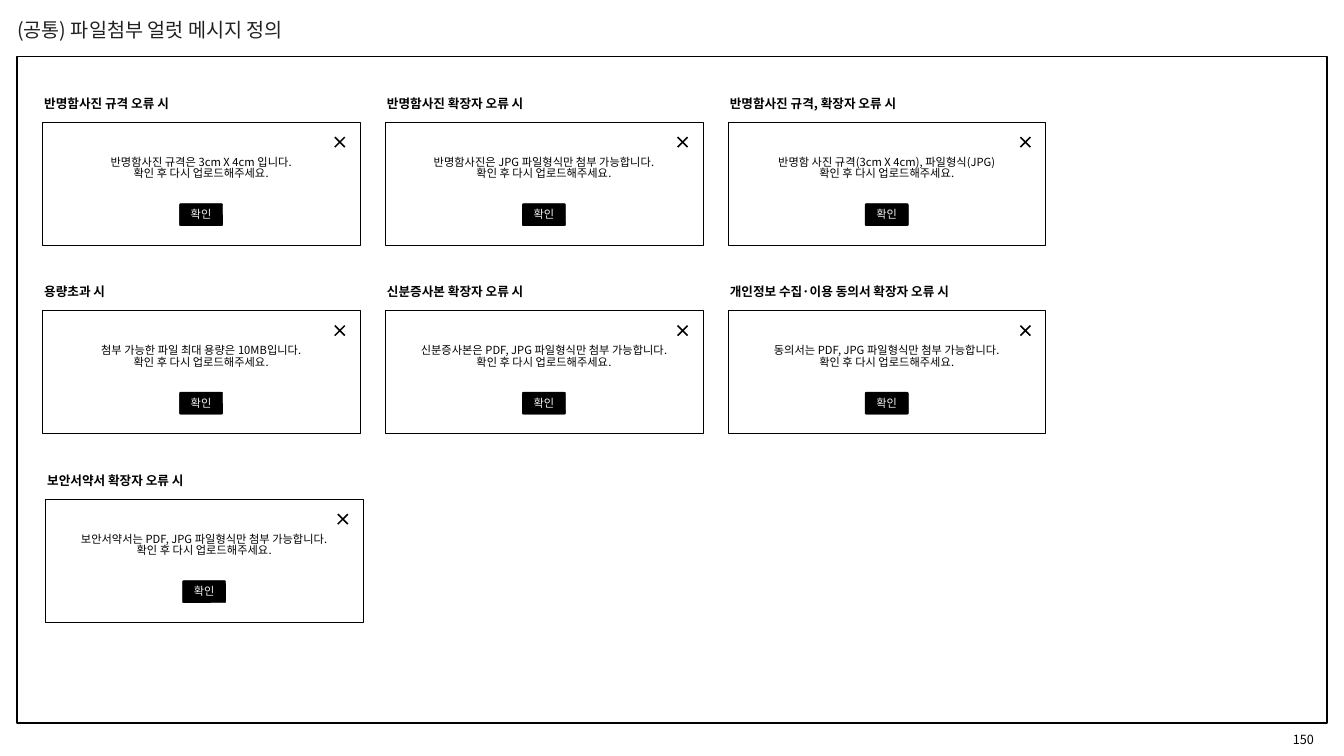
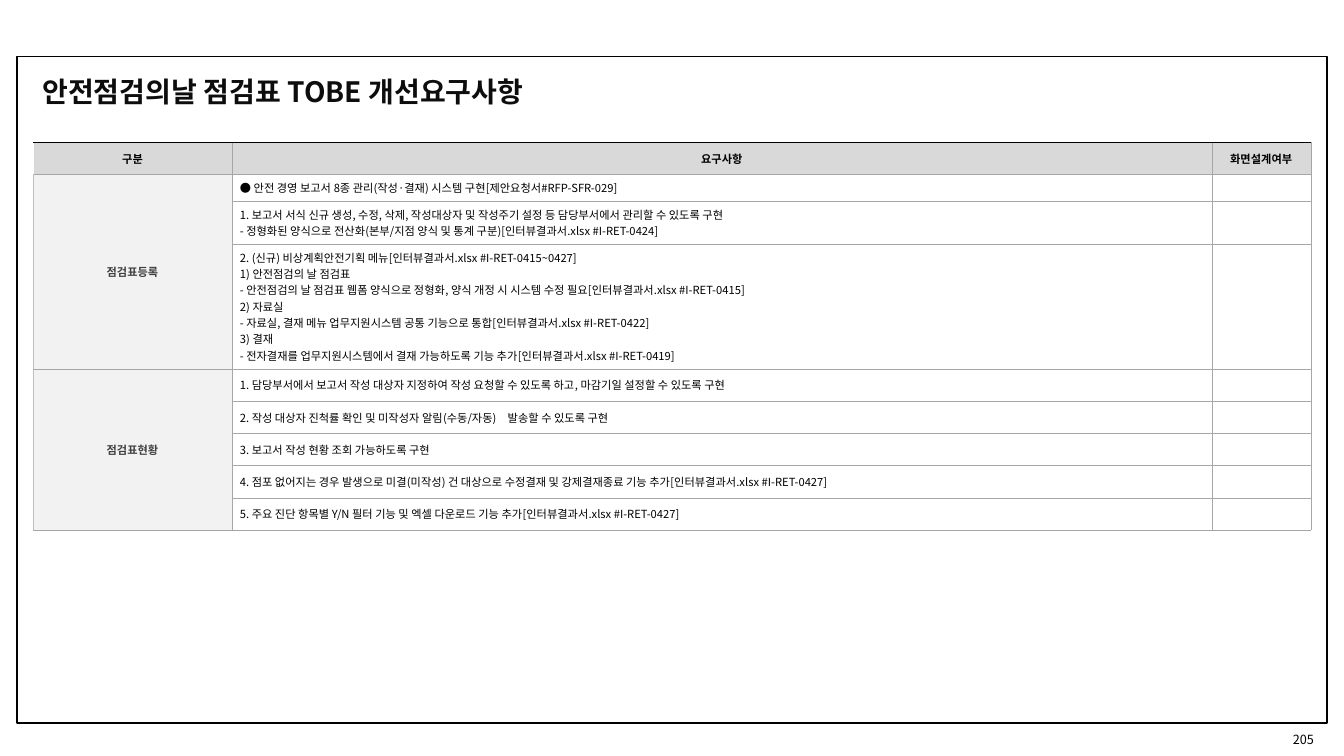
from lxml import etree
from pptx import Presentation
from pptx.dml.color import RGBColor as Rgb
from pptx.enum.shapes import MSO_CONNECTOR as Conn, MSO_SHAPE as Kind
from pptx.enum.text import MSO_ANCHOR as Anchor, MSO_AUTO_SIZE as Auto, PP_ALIGN as Align
from pptx.oxml.ns import qn
from pptx.util import Inches as In, Pt

FONT = "Noto Sans CJK KR"
INK = {"black": "000000", "title": "202124", "head": "0D0D0D", "side": "404040",
       "pale": "F2F2F2", "gray": "D9D9D9", "rule": "A6A6A6", "edge": "BFBFBF"}


def put(frame, text, size, ink="black", bold=False, align=Align.LEFT, space=None):
    """Fill a text frame and format every run."""
    frame.text = text
    for para in frame.paragraphs:
        para.alignment = align
        para.line_spacing = space
        for run in para.runs:
            font = run.font
            font.size, font.bold, font.name = Pt(size), bold, FONT
            font.color.rgb = Rgb.from_string(INK[ink])
            etree.SubElement(font._element, qn("a:ea"), typeface=FONT)
        if not para.runs:
            etree.SubElement(para._p, qn("a:endParaRPr"), sz=str(size * 100))


def draw(slide, kind, left, top, wide, high, fill=None, line=None, adj=None):
    """Add a flat black-lined or black-filled shape."""
    shape = slide.shapes.add_shape(kind, In(left), In(top), In(wide), In(high))
    shape.shadow.inherit = False
    if adj is not None:
        shape.adjustments[0] = adj
    for part, used in ((shape.fill, fill), (shape.line.fill, line)):
        if used:
            part.solid()
            part.fore_color.rgb = Rgb.from_string(INK["black"])
        else:
            part.background()
    if line:
        shape.line.width = Pt(line)
    return shape


deck = Presentation()
deck.slide_width, deck.slide_height = In(13.33), In(7.5)
plan = deck.slide_layouts[5]

# Titles and page numbers
heads = [
    ("(공통) 파일첨부 얼럿 메시지 정의", "150", (0.07, 0.13, 5.1, 0.34),
     14, "title", False, Anchor.TOP, True),
    ("안전점검의날 점검표 TOBE 개선요구사항", "205", (0.32, 0.69, 5.24, 0.44),
     20, "head", True, Anchor.MIDDLE, False),
]
for text, page, place, size, ink, bold, anchor, wrap in heads:
    slide = deck.slides.add_slide(plan)
    title = slide.shapes.title
    title.left, title.top, title.width, title.height = map(In, place)
    frame = title.text_frame
    frame.auto_size, frame.word_wrap = Auto.SHAPE_TO_FIT_TEXT, wrap
    frame.vertical_anchor = anchor
    put(frame, text, size, ink, bold)
    foot = slide.shapes.add_textbox(In(12.44), In(7.18), In(0.69), In(0.31)).text_frame
    foot.word_wrap, foot.vertical_anchor = True, Anchor.MIDDLE
    put(foot, page, 9, align=Align.RIGHT)
alert, sheet = deck.slides

# The border belongs to the shared layout
border = draw(alert, Kind.RECTANGLE, 0.17, 0.56, 12.99, 6.61, line=1.3)
plan.shapes.element.append(border.element)

# Alert boxes on a grid of three columns
LEFT, TOP, STEP, DROP = 0.42, 1.21, 3.4, 1.87
WIDE, HIGH = 3.15, 1.22
AGAIN = "\n확인 후 다시 업로드해주세요."
notes = [
    ("반명함사진 규격 오류 시", "반명함사진 규격은 3cm X 4cm 입니다."),
    ("반명함사진 확장자 오류 시", "반명함사진은 JPG 파일형식만 첨부 가능합니다."),
    ("반명함사진 규격, 확장자 오류 시", "반명함 사진 규격(3cm X 4cm), 파일형식(JPG)"),
    ("용량초과 시", "첨부 가능한 파일 최대 용량은 10MB입니다."),
    ("신분증사본 확장자 오류 시", "신분증사본은 PDF, JPG 파일형식만 첨부 가능합니다."),
    ("개인정보 수집·이용 동의서 확장자 오류 시", "동의서는 PDF, JPG 파일형식만 첨부 가능합니다."),
    ("보안서약서 확장자 오류 시", "보안서약서는 PDF, JPG 파일형식만 첨부 가능합니다."),
]
for at, (name, text) in enumerate(notes):
    row, col = divmod(at, 3)
    x, y = LEFT + col * STEP, TOP + row * DROP
    if row == 2:
        x += 0.03
    box = draw(alert, Kind.ROUNDED_RECTANGLE, x, y, WIDE, HIGH, line=0.25, adj=0)
    frame = box.text_frame
    frame.word_wrap, frame.vertical_anchor = True, Anchor.TOP
    frame.margin_top = In(0.35)
    put(frame, text + AGAIN, 8, align=Align.CENTER, space=0.84)

    cross = draw(alert, Kind.CROSS, x + 2.88, y + 0.13, 0.14, 0.14, fill=True, adj=0.446)
    cross.rotation = 45

    label = alert.shapes.add_textbox(In(x - 0.08), In(y - 0.31), In(3.17), In(0.25))
    frame = label.text_frame
    frame.word_wrap, frame.auto_size = True, Auto.SHAPE_TO_FIT_TEXT
    put(frame, name, 9, bold=True)

    wide, high = 0.43, 0.22
    button = draw(alert, Kind.ROUNDED_RECTANGLE, x + (WIDE - wide) / 2, y + 0.81,
                  wide, high, fill=True, line=0.25, adj=0.058)
    frame = button.text_frame
    frame.margin_left = frame.margin_right = frame.margin_top = 0
    frame.margin_bottom = In(0.01)
    frame.vertical_anchor = Anchor.MIDDLE
    put(frame, "확인", 8, "pale", align=Align.CENTER)

# Table of requirements
groups = [
    ("점검표등록", [
        "● 안전 경영 보고서 8종 관리(작성·결재) 시스템 구현[제안요청서#RFP-SFR-029]",
        "1. 보고서 서식 신규 생성, 수정, 삭제, 작성대상자 및 작성주기 설정 등 담당부서에서 관리할 수 있도록 구현\n"
        "- 정형화된 양식으로 전산화(본부/지점 양식 및 통계 구분)[인터뷰결과서.xlsx #I-RET-0424]",
        "2. (신규) 비상계획안전기획 메뉴[인터뷰결과서.xlsx #I-RET-0415~0427]\n"
        "1) 안전점검의 날 점검표\n"
        "- 안전점검의 날 점검표 웹폼 양식으로 정형화, 양식 개정 시 시스템 수정 필요[인터뷰결과서.xlsx #I-RET-0415]\n"
        "2) 자료실\n"
        "- 자료실, 결재 메뉴 업무지원시스템 공통 기능으로 통합[인터뷰결과서.xlsx #I-RET-0422]\n"
        "3) 결재\n"
        "- 전자결재를 업무지원시스템에서 결재 가능하도록 기능 추가[인터뷰결과서.xlsx #I-RET-0419]",
    ]),
    ("점검표현황", [
        "1. 담당부서에서 보고서 작성 대상자 지정하여 작성 요청할 수 있도록 하고, 마감기일 설정할 수 있도록 구현",
        "2. 작성 대상자 진척률 확인 및 미작성자 알림(수동/자동)　발송할 수 있도록 구현",
        "3. 보고서 작성 현황 조회 가능하도록 구현",
        "4. 점포 없어지는 경우 발생으로 미결(미작성) 건 대상으로 수정결재 및 강제결재종료 기능 추가[인터뷰결과서.xlsx #I-RET-0427]",
        "5. 주요 진단 항목별 Y/N 필터 기능 및 엑셀 다운로드 기능 추가[인터뷰결과서.xlsx #I-RET-0427]",
    ]),
]
rows = [("구분", "요구사항", "화면설계여부")]
spans = []
for name, items in groups:
    spans.append((len(rows), len(rows) + len(items) - 1))
    rows += [(name if i == 0 else "", item, "") for i, item in enumerate(items)]

cols = [1.97, 9.72, 0.98]
highs = [0.32, 0.27, 0.42, 1.24] + [0.32] * 5
x, y = 0.33, 1.41
grid = sheet.shapes.add_table(len(rows), len(cols), In(x), In(y),
                              In(sum(cols)), In(sum(highs))).table
for col, wide in zip(grid.columns, cols):
    col.width = In(wide)
for row, high in zip(grid.rows, highs):
    row.height = In(high)
for r, row in enumerate(rows):
    for c, text in enumerate(row):
        cell = grid.cell(r, c)
        cell.margin_left = cell.margin_right = In(0.08)
        cell.margin_top = cell.margin_bottom = In(0.05)
        cell.vertical_anchor = Anchor.MIDDLE
        head, side = r == 0, c == 0
        put(cell.text_frame, text, 8, "side" if side and not head else "black",
            head or side, Align.CENTER if head or side else Align.LEFT)
        # Cell borders come before the fill
        for edge in "LRTB":
            if head and side and edge == "L":
                continue
            line = etree.SubElement(cell._tc.get_or_add_tcPr(), qn("a:ln" + edge), w="3175")
            paint = etree.SubElement(line, qn("a:solidFill"))
            tone = "edge" if side and not head and edge in "LR" else "rule"
            etree.SubElement(paint, qn("a:srgbClr"), val=INK[tone])
        if head or side:
            cell.fill.solid()
            cell.fill.fore_color.rgb = Rgb.from_string(INK["gray" if head else "pale"])
        else:
            cell.fill.background()
for first, last in spans:
    grid.cell(first, 0).merge(grid.cell(last, 0))

# Dark rule along the top of the table
rule = sheet.shapes.add_connector(Conn.STRAIGHT, In(x), In(y), In(x + sum(cols)), In(y))
rule.line.width = Pt(0.5)
rule.line.color.rgb = Rgb.from_string(INK["black"])
etree.SubElement(rule.element.spPr, qn("a:effectLst"))

deck.save("out.pptx")
